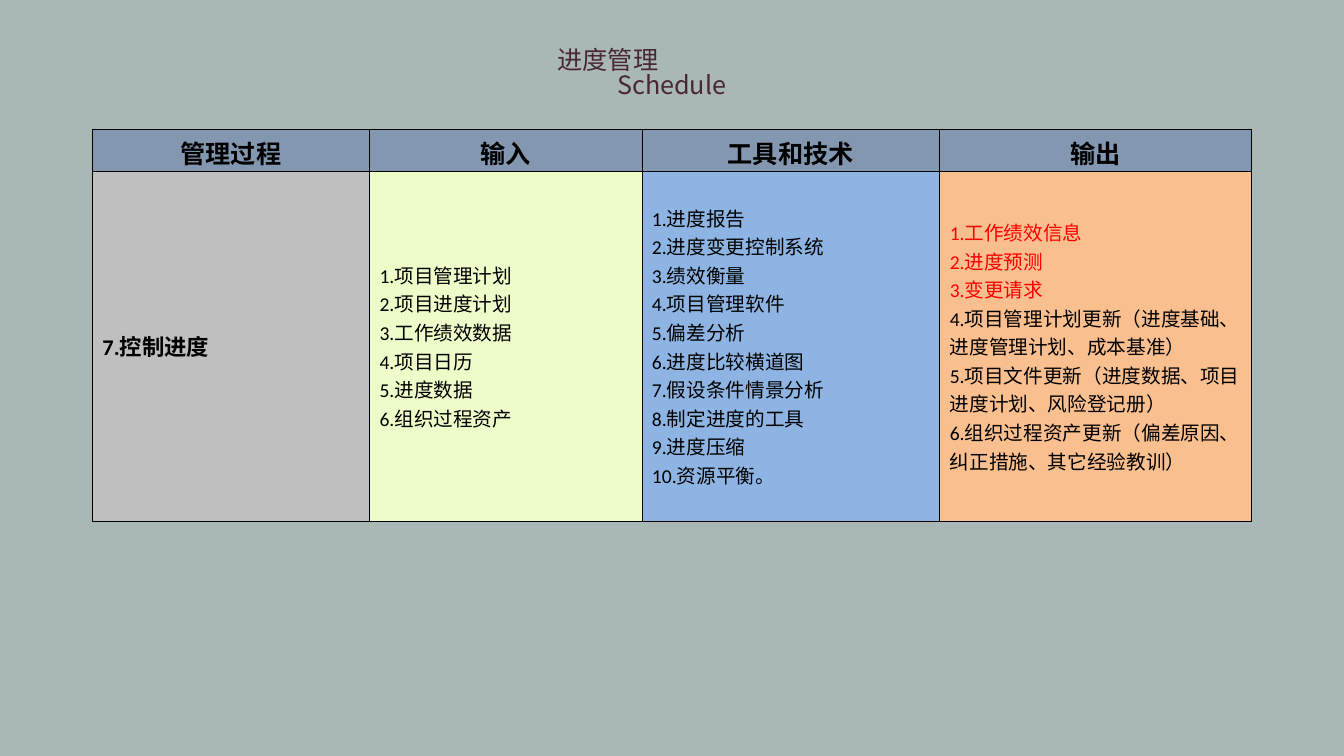
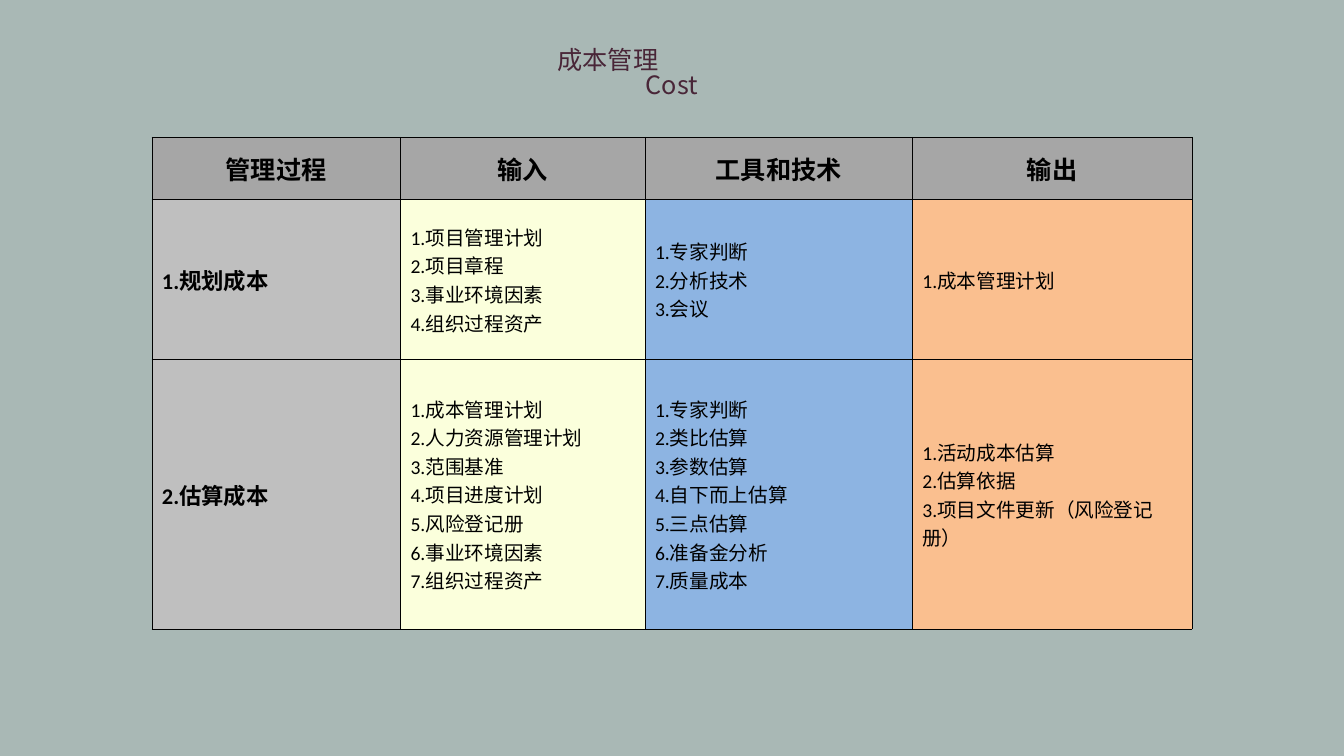
from dataclasses import dataclass

from lxml.etree import SubElement
from pptx import Presentation
from pptx.dml.color import RGBColor
from pptx.enum.text import MSO_ANCHOR, MSO_AUTO_SIZE, PP_ALIGN
from pptx.oxml import parse_xml
from pptx.oxml.ns import nsdecls, qn
from pptx.util import Inches, Pt


@dataclass(frozen=True)
class Theme:
    """Colours, fonts and type sizes of the deck."""
    back: str = "A9B8B5"
    title: str = "492638"
    ink: str = "000000"
    hot: str = "FF0000"
    stage: str = "BFBFBF"
    tools: str = "8DB4E2"
    out: str = "FABF8F"
    latin: str = "Calibri"
    asian: str = "Noto Sans CJK SC"
    head: int = 18
    mid: int = 16
    small: int = 14
    rule: float = 0.5


THEME = Theme()
HEADS = ["管理过程", "输入", "工具和技术", "输出"]
SHARES = [23.9, 23.5, 25.7, 26.9]
WIDE, HIGH = 133.33, 75


def step(count):
    """Turn grid steps of a tenth of an inch into a length."""
    return Inches(count / 10)


def adorn(target, form):
    """Set each format value on the target."""
    for name, value in form.items():
        setattr(target, name, value)


def number(items):
    """Number the items of a list."""
    return [f"{n}.{item}" for n, item in enumerate(items, 1)]


class Deck:
    """Holds the style and the current slide."""

    def __init__(self, theme):
        """Start a deck with the shared size and background."""
        self.theme = theme
        self.show = Presentation()
        adorn(self.show, {"slide_width": step(WIDE), "slide_height": step(HIGH)})
        fill = self.show.slide_master.background.fill
        fill.solid()
        fill.fore_color.rgb = RGBColor.from_string(theme.back)

    def slide(self, *lines):
        """Start a slide with a title in two lines."""
        self.page = self.show.slides.add_slide(self.show.slide_layouts[5])
        title = self.page.shapes.title
        adorn(title, {"left": step(54.3), "top": step(4.4),
                      "width": step(24.7), "height": step(7.1)})
        frame = title.text_frame
        adorn(frame, {"word_wrap": True, "vertical_anchor": MSO_ANCHOR.TOP,
                      "auto_size": MSO_AUTO_SIZE.SHAPE_TO_FIT_TEXT})
        font = {"name": self.theme.asian, "size": Pt(self.theme.head), "bold": False}
        self.words(frame, lines, font, [self.theme.title] * 2,
                   [PP_ALIGN.JUSTIFY, PP_ALIGN.CENTER], 0.82)

    def words(self, frame, lines, font, tints, sides, space=1.0):
        """Fill a text frame, one paragraph a line."""
        frame.text = "\n".join(lines)
        for para, tint, side in zip(frame.paragraphs, tints, sides):
            adorn(para, {"alignment": side, "line_spacing": space})
            run = para.runs[0]
            adorn(run.font, font)
            run.font.color.rgb = RGBColor.from_string(tint)
            SubElement(run._r.get_or_add_rPr(), qn("a:ea"), typeface=self.theme.asian)

    def cell(self, cell, lines, fill, size, bold=False, side=PP_ALIGN.LEFT, hot=0):
        """Fill, frame and letter one cell."""
        cell.vertical_anchor = MSO_ANCHOR.MIDDLE
        cell.fill.solid()
        cell.fill.fore_color.rgb = RGBColor.from_string(fill)
        props = cell._tc.get_or_add_tcPr()
        for spot, edge in enumerate(("lnL", "lnR", "lnT", "lnB")):
            props.insert(spot, parse_xml(
                f'<a:{edge} {nsdecls("a")} w="{Pt(self.theme.rule)}"><a:solidFill>'
                f'<a:srgbClr val="{self.theme.ink}"/></a:solidFill></a:{edge}>'))
        font = {"name": self.theme.latin, "size": Pt(size), "bold": bold}
        tints = [self.theme.hot] * hot + [self.theme.ink] * (len(lines) - hot)
        self.words(cell.text_frame, lines, font, tints, [side] * len(lines))

    def table(self, top, width, highs, head, inputs, rows, hot=0):
        """Add a centred table with a header and one row a process."""
        theme = self.theme
        shape = self.page.shapes.add_table(
            len(highs), len(HEADS), step((WIDE - width) / 2), step(top),
            step(width), step(sum(highs)))
        table = shape.table
        adorn(table, {"first_row": False, "horz_banding": False})
        for col, share in zip(table.columns, SHARES):
            col.width = step(width * share / 100)
        for row, high in zip(table.rows, highs):
            row.height = step(high)
        for col, text in enumerate(HEADS):
            self.cell(table.cell(0, col), [text], head, theme.head, True, PP_ALIGN.CENTER)
        fills = [inputs, theme.tools, theme.out]
        for row, (name, *lists) in enumerate(rows, 1):
            self.cell(table.cell(row, 0), [name], theme.stage, theme.mid, True)
            for col, (items, fill) in enumerate(zip(lists, fills), 1):
                self.cell(table.cell(row, col), number(items), fill, theme.small,
                          hot=hot if col == 3 else 0)


TIME = [
    ("7.控制进度",
     ["项目管理计划", "项目进度计划", "工作绩效数据", "项目日历", "进度数据", "组织过程资产"],
     ["进度报告", "进度变更控制系统", "绩效衡量", "项目管理软件", "偏差分析",
      "进度比较横道图", "假设条件情景分析", "制定进度的工具", "进度压缩", "资源平衡。"],
     ["工作绩效信息", "进度预测", "变更请求",
      "项目管理计划更新（进度基础、进度管理计划、成本基准）",
      "项目文件更新（进度数据、项目进度计划、风险登记册）",
      "组织过程资产更新（偏差原因、纠正措施、其它经验教训）"]),
]
COST = [
    ("1.规划成本",
     ["项目管理计划", "项目章程", "事业环境因素", "组织过程资产"],
     ["专家判断", "分析技术", "会议"],
     ["成本管理计划"]),
    ("2.估算成本",
     ["成本管理计划", "人力资源管理计划", "范围基准", "项目进度计划", "风险登记册",
      "事业环境因素", "组织过程资产"],
     ["专家判断", "类比估算", "参数估算", "自下而上估算", "三点估算", "准备金分析", "质量成本"],
     ["活动成本估算", "估算依据", "项目文件更新（风险登记册）"]),
]


def main():
    """Build both slides and save the deck."""
    deck = Deck(THEME)
    deck.slide("进度管理", "Schedule")
    deck.table(12.8, 115, [4.2, 34.7], "8497B0", "EEFCCA", TIME, hot=3)
    deck.slide("成本管理", "Cost")
    deck.table(13.6, 103.2, [6.2, 15.9, 26.7], "A6A6A6", "FBFFDC", COST)
    deck.show.save("out.pptx")


if __name__ == "__main__":
    main()
